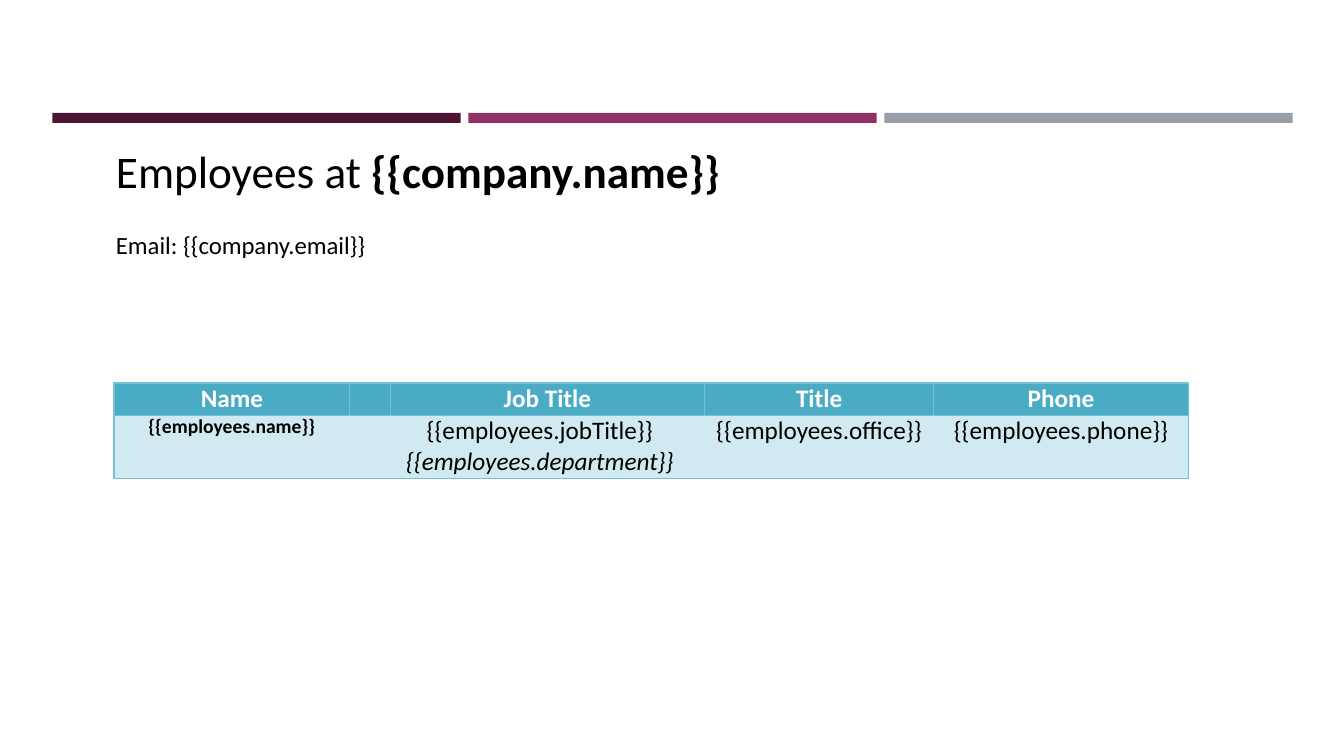
from lxml.etree import SubElement as Sub
from pptx import Presentation
from pptx.dml.color import RGBColor
from pptx.enum.shapes import MSO_SHAPE as Shape
from pptx.enum.text import MSO_ANCHOR as Anchor, MSO_AUTO_SIZE as Auto, PP_ALIGN as Align
from pptx.oxml.ns import qn
from pptx.util import Inches, Pt

BLACK = RGBColor(0x00, 0x00, 0x00)
WHITE = RGBColor(0xFF, 0xFF, 0xFF)
PLUM = RGBColor(0x4D, 0x14, 0x34)
ROSE = RGBColor(0x90, 0x31, 0x63)
GRAY = RGBColor(0x96, 0x9F, 0xA7)
TEAL = RGBColor(0x4A, 0xAB, 0xC5)
PALE = RGBColor(0xD1, 0xE9, 0xF0)
EDGE = RGBColor(0x77, 0xBF, 0xD3)
HEADS = ["Name", "", "Job Title", "Title", "Phone"]
WIDTHS = [2.34, 0.4, 3.12, 2.27, 2.53]
HEIGHTS = [0.32, 0.63]


def write(para, text, size=18, color=BLACK, bold=False, italic=False,
          align=Align.CENTER, before=0.2, indent=0):
    """Add a formatted run to a paragraph."""
    para.alignment = align
    para.space_before = Pt(before)
    props = para._p.get_or_add_pPr()
    props.set("marL", str(Inches(indent)))
    props.set("indent", "0")
    font = para.add_run().font
    para.runs[-1].text = text
    font.name, font.size = "Calibri", Pt(size)
    font.bold, font.italic = bold, italic
    font.color.rgb = color


def add_bar(slide, left, color):
    """Draw one bar of the top band."""
    bar = slide.shapes.add_shape(Shape.RECTANGLE, Inches(left), Inches(1.12),
                                 Inches(4.05), Inches(0.1))
    bar.shadow.inherit = False
    bar.fill.solid()
    bar.fill.fore_color.rgb = color
    bar.line.fill.background()


def add_title(slide):
    """Fill the title with the heading and the email line."""
    title = slide.shapes.title
    title.left, title.top = Inches(1.13), Inches(1.4)
    title.width, title.height = Inches(6.08), Inches(1.19)
    frame = title.text_frame
    frame.word_wrap = True
    frame.auto_size = Auto.NONE
    frame.vertical_anchor = Anchor.TOP
    frame.margin_left = frame.margin_right = frame.margin_bottom = 0
    frame.margin_top = Inches(0.02)
    look = dict(align=Align.LEFT, indent=0.02)
    head = frame.paragraphs[0]
    write(head, "Employees at ", size=32.3, before=1.6, **look)
    write(head, "{{company.name}}", size=32.3, bold=True, before=1.6, **look)
    write(frame.add_paragraph(), "Email: {{company.email}}", size=17.7,
          before=23.1, **look)


def style(cell, fill, sides):
    """Set a cell's margins, fill and drawn sides."""
    cell.margin_left = cell.margin_right = 0
    cell.margin_top = cell.margin_bottom = 0
    props = cell._tc.get_or_add_tcPr()
    for side in "LRTB":
        line = Sub(props, qn("a:ln" + side), w=str(Pt(1)))
        if side in sides:
            paint = Sub(line, qn("a:solidFill"))
            Sub(paint, qn("a:srgbClr"), val=str(EDGE))
        else:
            Sub(line, qn("a:noFill"))
    cell.fill.solid()
    cell.fill.fore_color.rgb = fill


def add_staff(slide):
    """Build the table of employees."""
    table = slide.shapes.add_table(2, 5, Inches(1.13), Inches(3.8),
                                   Inches(sum(WIDTHS)), Inches(sum(HEIGHTS))).table
    for col, width in zip(table.columns, WIDTHS):
        col.width = Inches(width)
    for row, height in zip(table.rows, HEIGHTS):
        row.height = Inches(height)
    ends = {0: "LTB", 4: "RTB"}
    for i, head in enumerate(HEADS):
        style(table.cell(0, i), TEAL, "LRTB")
        style(table.cell(1, i), PALE, ends.get(i, "TB"))
        if head:
            write(table.cell(0, i).text_frame.paragraphs[0], head,
                  color=WHITE, bold=True)
    table.cell(1, 1).merge(table.cell(1, 2))
    name, job, office, phone = [table.cell(1, i).text_frame for i in (0, 1, 3, 4)]
    write(name.paragraphs[0], "{{employees.name}}", size=14, bold=True)
    write(job.paragraphs[0], "{{employees.jobTitle}}", indent=0.25)
    write(job.add_paragraph(), "{{employees.department}}", italic=True,
          before=0.3, indent=0.25)
    write(office.paragraphs[0], "{{employees.office}}")
    write(phone.paragraphs[0], "{{employees.phone}}")


def main():
    """Build and save the slide."""
    deck = Presentation()
    deck.slide_width, deck.slide_height = Inches(13.33), Inches(7.5)
    slide = deck.slides.add_slide(deck.slide_layouts[5])
    for i, color in enumerate([PLUM, ROSE, GRAY]):
        add_bar(slide, 0.52 + i * 4.125, color)
    add_staff(slide)
    add_title(slide)
    deck.save("out.pptx")


main()
